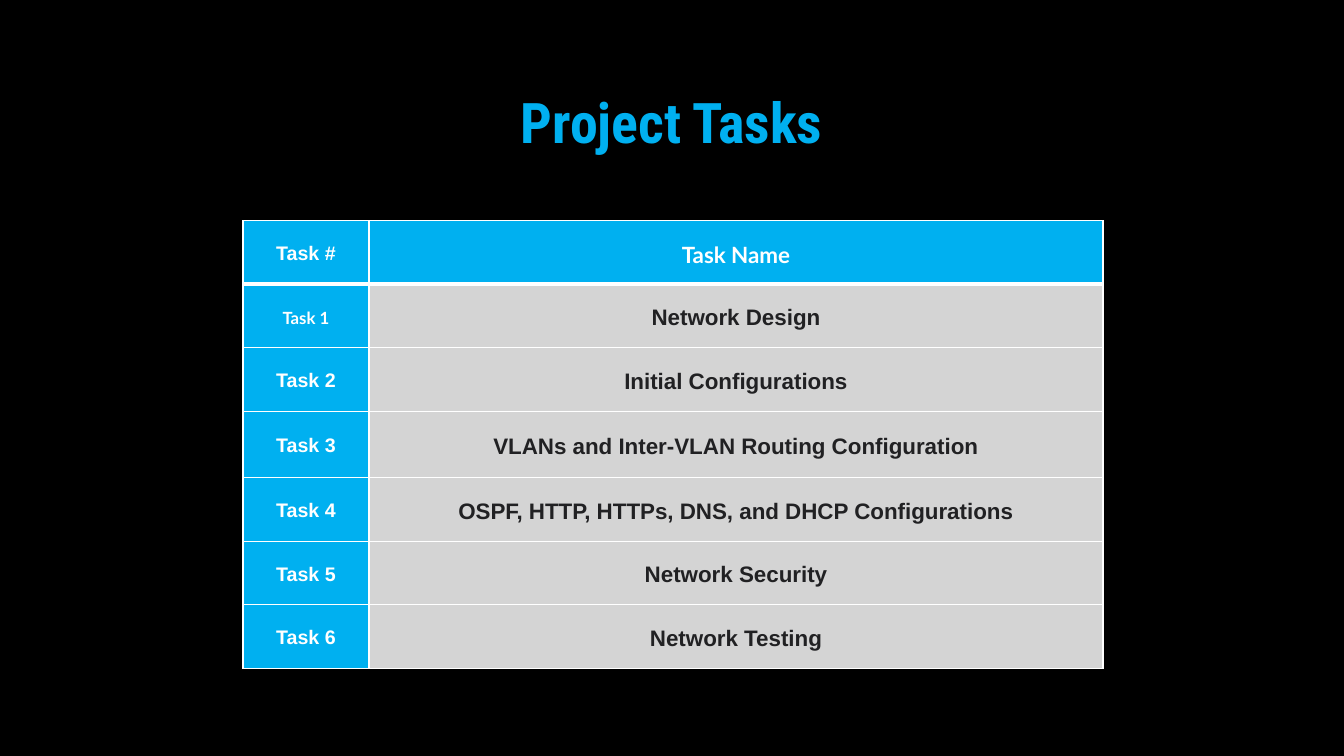
from dataclasses import dataclass

from lxml.etree import SubElement
from pptx import Presentation
from pptx.dml.color import RGBColor
from pptx.enum.text import MSO_ANCHOR as Anchor, PP_ALIGN as Align
from pptx.oxml import parse_xml
from pptx.oxml.ns import nsdecls, qn
from pptx.slide import Slide
from pptx.table import _Cell as Cell
from pptx.text.text import _Paragraph as Paragraph
from pptx.util import Inches, Pt

COLORS = {
    "background": "000000",
    "accent": "00B0F0",
    "white": "FFFFFF",
    "text": "212123",
    "outline": "404040",
}
COLUMN_WIDTHS = (1.25, 7.28)
ROW_HEIGHT = 0.63
TALL_ROW, TALL_ROW_HEIGHT = 3, 0.66
NAME_OPACITY = 83
OUTLINE_OPACITY = 10


@dataclass(frozen=True)
class CellStyle:
    size: float
    font: str = "Arial"
    color: str = "white"
    fill: str = "accent"
    opacity: int = 100


@dataclass(frozen=True)
class TaskRow:
    label: str
    name: str
    label_style: CellStyle = CellStyle(14)
    name_style: CellStyle = CellStyle(16, color="text", fill="white", opacity=NAME_OPACITY)
    bottom_border: float = 1


ROWS = (
    TaskRow("Task #", "Task Name", name_style=CellStyle(16, "Lato"), bottom_border=3),
    TaskRow("Task 1", "Network Design", label_style=CellStyle(12, "Lato")),
    TaskRow("Task 2", "Initial Configurations"),
    TaskRow("Task 3", "VLANs and Inter-VLAN Routing Configuration"),
    TaskRow("Task 4", "OSPF, HTTP, HTTPs, DNS, and DHCP Configurations"),
    TaskRow("Task 5", "Network Security"),
    TaskRow("Task 6", "Network Testing"),
)


def rgb(name: str) -> RGBColor:
    return RGBColor.from_string(COLORS[name])


def line_xml(tag: str, width: float, color: str, opacity: int = 100):
    return parse_xml(
        f'<a:{tag} {nsdecls("a")} w="{Pt(width)}"><a:solidFill>'
        f'<a:srgbClr val="{COLORS[color]}"><a:alpha val="{opacity * 1000}"/></a:srgbClr>'
        f'</a:solidFill><a:prstDash val="solid"/></a:{tag}>'
    )


def format_paragraph(paragraph: Paragraph, size: float, font: str, color: str) -> None:
    paragraph.alignment = Align.CENTER
    run_font = paragraph.runs[0].font
    run_font.size = Pt(size)
    run_font.name = font
    run_font.bold = True
    run_font.color.rgb = rgb(color)


def add_title(slide: Slide) -> None:
    box = slide.shapes.add_textbox(Inches(1), Inches(0.67), Inches(11.32), Inches(1.06))
    text_frame = box.text_frame
    text_frame.word_wrap = True
    text_frame.vertical_anchor = Anchor.MIDDLE
    text_frame.text = "Project Tasks"
    paragraph = text_frame.paragraphs[0]
    format_paragraph(paragraph, 40, "Roboto Condensed", "accent")
    run_properties = paragraph.runs[0].font._element
    run_properties.insert(0, line_xml("ln", 0.75, "outline", OUTLINE_OPACITY))


def fill_cell(cell: Cell, text: str, style: CellStyle, top: float, bottom: float) -> None:
    """Write and format one cell, with border widths in points."""
    cell.text_frame.text = text
    cell.vertical_anchor = Anchor.MIDDLE
    cell.margin_left = cell.margin_right = Inches(0.07)
    cell.margin_top = cell.margin_bottom = 0
    paragraph = cell.text_frame.paragraphs[0]
    paragraph.line_spacing = 1.15
    format_paragraph(paragraph, style.size, style.font, style.color)

    cell.fill.solid()
    cell.fill.fore_color.rgb = rgb(style.fill)
    properties = cell._tc.get_or_add_tcPr()
    if style.opacity < 100:
        fill_color = properties.find(f"{qn('a:solidFill')}/{qn('a:srgbClr')}")
        SubElement(fill_color, qn("a:alpha"), val=str(style.opacity * 1000))
    borders = {"lnL": 1, "lnR": 1, "lnT": top, "lnB": bottom}
    for index, (tag, width) in enumerate(borders.items()):
        properties.insert(index, line_xml(tag, width, "white"))


def add_task_table(slide: Slide) -> None:
    heights = [ROW_HEIGHT] * len(ROWS)
    heights[TALL_ROW] = TALL_ROW_HEIGHT
    frame = slide.shapes.add_table(
        len(ROWS), len(COLUMN_WIDTHS), Inches(2.41), Inches(2.19),
        Inches(sum(COLUMN_WIDTHS)), Inches(sum(heights)),
    )
    table = frame.table
    for column, width in zip(table.columns, COLUMN_WIDTHS):
        column.width = Inches(width)
    top_border = 1
    for index, (row, height) in enumerate(zip(ROWS, heights)):
        table.rows[index].height = Inches(height)
        contents = ((row.label, row.label_style), (row.name, row.name_style))
        for column_index, (text, style) in enumerate(contents):
            cell = table.cell(index, column_index)
            fill_cell(cell, text, style, top_border, row.bottom_border)
        top_border = row.bottom_border


def main() -> None:
    presentation = Presentation()
    presentation.slide_width = Inches(13.33)
    presentation.slide_height = Inches(7.5)
    slide = presentation.slides.add_slide(presentation.slide_layouts[6])
    slide.background.fill.solid()
    slide.background.fill.fore_color.rgb = rgb("background")
    add_title(slide)
    add_task_table(slide)
    presentation.save("out.pptx")


if __name__ == "__main__":
    main()
